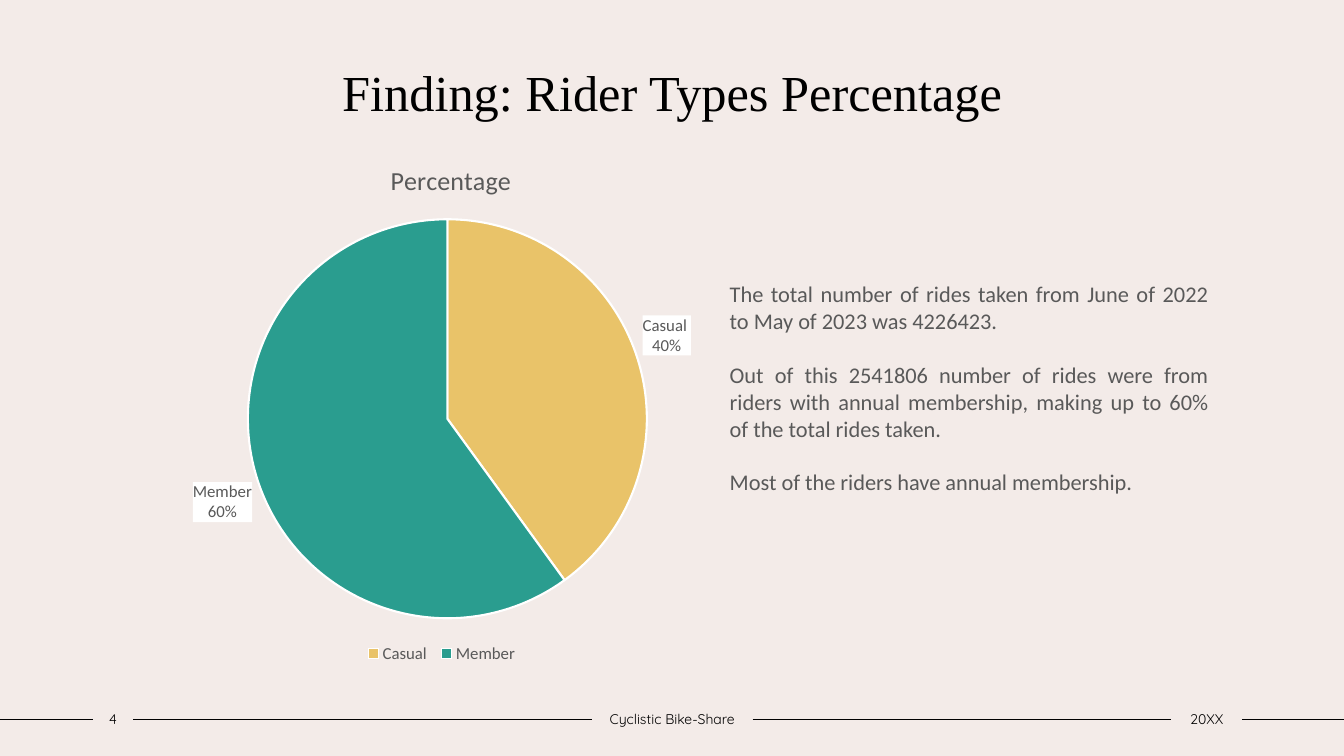
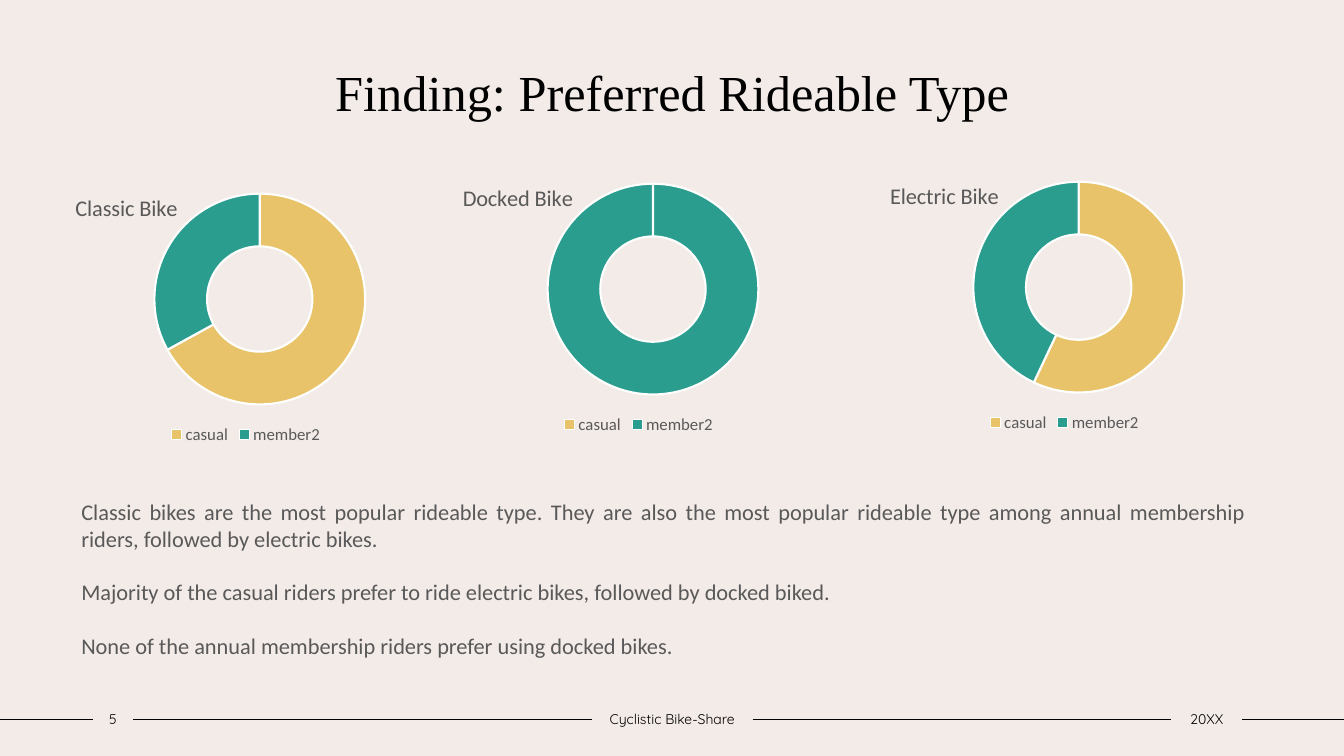
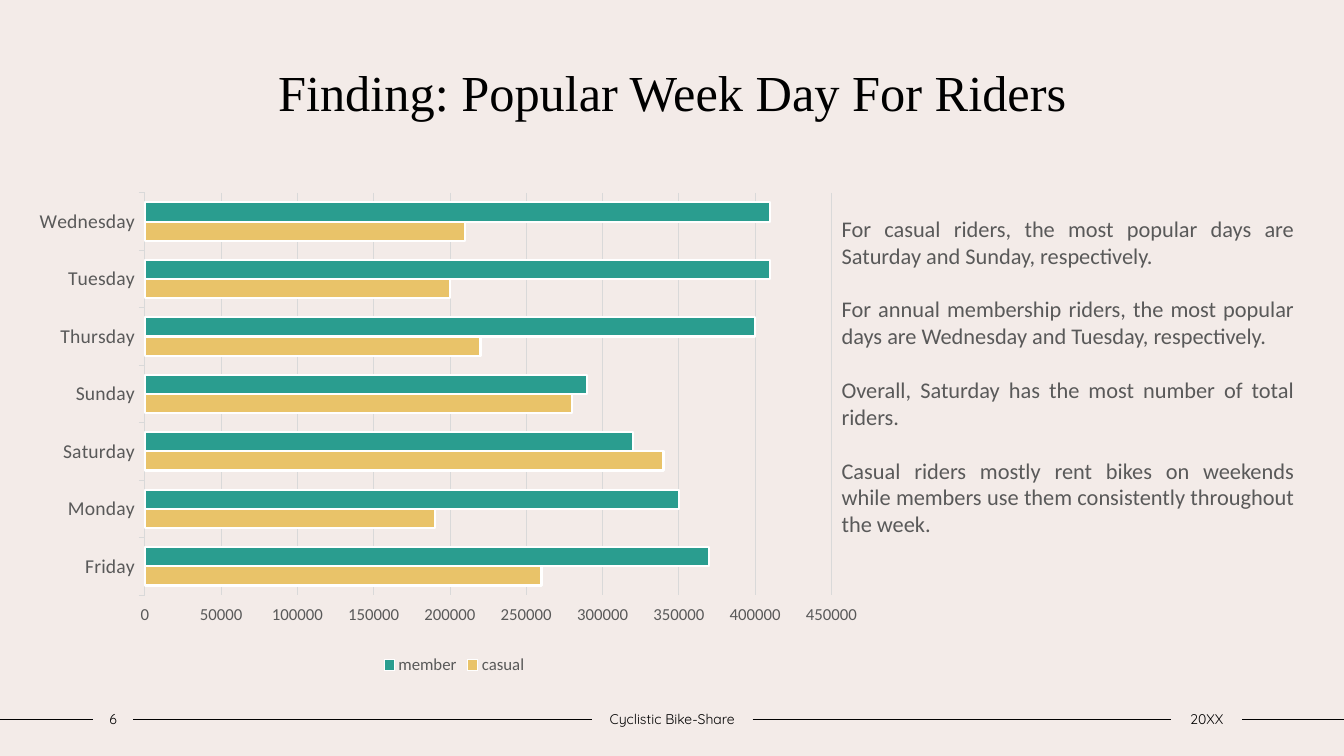
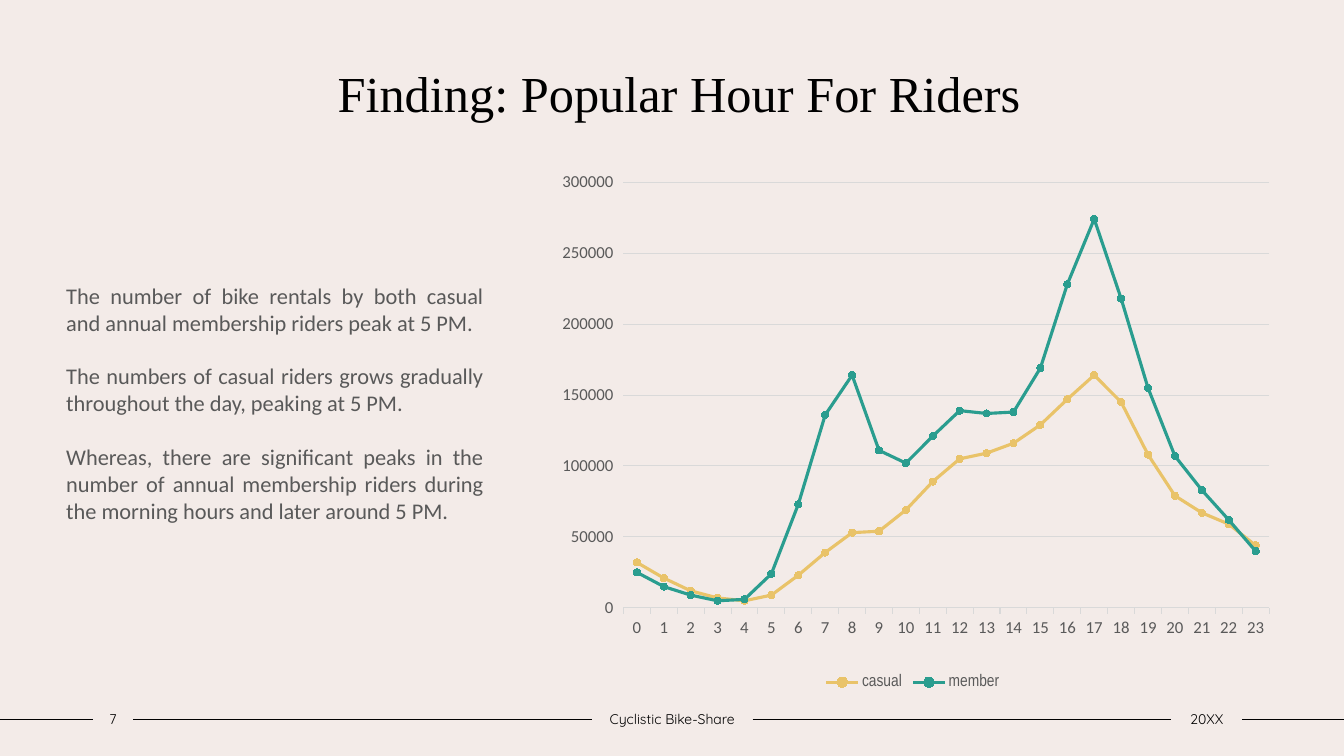
from lxml import etree
from pptx import Presentation
from pptx import util as u
from pptx.chart import data
from pptx.dml import color
from pptx.enum import chart as kinds
from pptx.enum import shapes, text
from pptx.oxml import ns

COLORS = {
    "background": "F3EBE8",
    "title": "000000",
    "body": "595959",
    "grid": "D9D9D9",
    "outline": "FFFFFF",
    "casual": "E9C369",
    "member": "2A9D8F",
}
COLORS = {name: color.RGBColor.from_string(value) for name, value in COLORS.items()}
RIDERS = [COLORS["casual"], COLORS["member"]]
PIE = kinds.XL_CHART_TYPE.PIE
DOUGHNUT = kinds.XL_CHART_TYPE.DOUGHNUT
BAR = kinds.XL_CHART_TYPE.BAR_CLUSTERED
LINE = kinds.XL_CHART_TYPE.LINE_MARKERS
FOOTER_TOP, FOOTER_HEIGHT = 17.77, 0.71

PAGES = [
    {
        "title": "Finding: Rider Types Percentage",
        "title_at": (3.18, 1.42),
        "text_at": (18.14, 6.94, 12.57, 6.5),
        "text": [
            "The total number of rides taken from June of 2022 to May of 2023 was 4226423.",
            "Out of this 2541806 number of rides were from riders with annual membership, "
            "making up to 60% of the total rides taken.",
            "Most of the riders have annual membership.",
        ],
        "charts": [
            {"kind": PIE, "at": (1.09, 3.56, 20.09, 13.26), "title": "Percentage",
             "title_size": 18.6, "heading_at": (0.43, 0.03),
             "categories": ["Casual ", "Member"], "series": {"Percentage": [40, 60]}},
        ],
    },
    {
        "title": "Finding: Preferred Rideable Type",
        "title_at": (3.18, 1.42),
        "text_at": (1.8, 12.42, 29.85, 4.37),
        "text": [
            "Classic bikes are the most popular rideable type. They are also the most popular "
            "rideable type among annual membership riders, followed by electric bikes.",
            "Majority of the casual riders prefer to ride electric bikes, followed by docked biked.",
            "None of the annual membership riders prefer using docked bikes.",
        ],
        "charts": [
            {"kind": DOUGHNUT, "at": at, "title": title, "title_size": 16,
             "heading_at": (0, 0), "categories": ["casual", "member2"],
             "series": {title: values}, "plot_at": (0.135, 0.02, 0.81, 0.811)}
            for title, values, at in [
                ("Classic Bike", [67, 33], (1.8, 4.75, 8.79, 6.55)),
                ("Docked Bike", [0, 100], (11.56, 4.5, 9.07, 6.55)),
                ("Electric Bike", [57, 43], (22.33, 4.45, 8.99, 6.55)),
            ]
        ],
    },
    {
        "title": "Finding: Popular Week Day For Riders",
        "title_at": (3.18, 1.42),
        "text_at": (20.96, 5.29, 11.91, 8.46),
        "text": [
            "For casual riders, the most popular days are Saturday and Sunday, respectively.",
            "For annual membership riders, the most popular days are Wednesday and Tuesday, "
            "respectively.",
            "Overall, Saturday has the most number of total riders.",
            "Casual riders mostly rent bikes on weekends while members use them consistently "
            "throughout the week.",
        ],
        "charts": [
            {"kind": BAR, "at": (0.77, 4.61, 21.36, 12.5), "category_size": 14,
             "maximum": 450000, "plot_at": (0.135, 0.02, 0.81, 0.811),
             "categories": ["Friday", "Monday", "Saturday", "Sunday", "Thursday",
                            "Tuesday", "Wednesday"],
             "series": {
                 "casual": [260000, 190000, 340000, 280000, 220000, 200000, 210000],
                 "member": [370000, 350000, 320000, 290000, 400000, 410000, 410000]}},
        ],
    },
    {
        "title": "Finding: Popular Hour For Riders",
        "title_at": (3.35, 1.45),
        "text_at": (1.42, 6.98, 11.02, 7.19),
        "text": [
            "The number of bike rentals by both casual and annual membership riders peak at 5 PM.",
            "The numbers of casual riders grows gradually throughout the day, peaking at 5 PM.",
            "Whereas, there are significant peaks in the number of annual membership riders "
            "during the morning hours and later around 5 PM.",
        ],
        "charts": [
            {"kind": LINE, "at": (12.96, 4.26, 20.09, 13.23), "category_size": 12,
             "maximum": 300000, "plot_at": (0.137, 0.025, 0.81, 0.811),
             "legend_font": "Arial Narrow",
             "categories": [str(hour) for hour in range(24)],
             "series": {
                 "casual": [32000, 21000, 12000, 7000, 5000, 9000, 23000, 39000,
                            53000, 54000, 69000, 89000, 105000, 109000, 116000, 129000,
                            147000, 164000, 145000, 108000, 79000, 67000, 59000, 44000],
                 "member": [25000, 15000, 9000, 5000, 6000, 24000, 73000, 136000,
                            164000, 111000, 102000, 121000, 139000, 137000, 138000, 169000,
                            228000, 274000, 218000, 155000, 107000, 83000, 62000, 40000]}},
        ],
    },
]


def add_text(page, at, lines, font, size, ink, align):
    box = page.shapes.add_textbox(*[u.Cm(length) for length in at])
    frame = box.text_frame
    frame.word_wrap = True
    frame.text = "\n".join(lines)
    for index, para in enumerate(frame.paragraphs):
        para.alignment = align
        para.font.name = font
        para.font.size = u.Pt(size)
        para.font.color.rgb = COLORS[ink]
        if index:
            para.space_before = u.Pt(19.2)
    return box


def set_layout(parent, index, **settings):
    for old in parent.xpath("c:layout"):
        parent.remove(old)
    layout = etree.Element(ns.qn("c:layout"))
    manual = etree.SubElement(layout, ns.qn("c:manualLayout"))
    for name, value in settings.items():
        etree.SubElement(manual, ns.qn("c:" + name)).set("val", str(value))
    parent.insert(index, layout)


deck = Presentation()
deck.slide_width = u.Cm(33.87)
deck.slide_height = u.Cm(19.05)
backdrop = deck.slide_master.background.fill
backdrop.solid()
backdrop.fore_color.rgb = COLORS["background"]

for number, content in enumerate(PAGES, start=4):
    page = deck.slides.add_slide(deck.slide_layouts[6])
    add_text(page, (*content["title_at"], 27.53, 2.82), [content["title"]],
             "Times New Roman", 36, "title", text.PP_ALIGN.CENTER)

    labels = []
    for left, width, label in [(2.34, 1.02, str(number)),
                               (14.91, 4.06, "Cyclistic Bike-Share"),
                               (29.52, 1.78, "20XX")]:
        box = add_text(page, (left, FOOTER_TOP, width, FOOTER_HEIGHT), [label],
                       "Quicksand", 10, "title", text.PP_ALIGN.CENTER)
        box.text_frame.margin_left = box.text_frame.margin_right = 0
        box.text_frame.vertical_anchor = text.MSO_ANCHOR.MIDDLE
        labels.append(box)

    middle = u.Cm(FOOTER_TOP + FOOTER_HEIGHT / 2)
    for before, after in zip([None, *labels], [*labels, None]):
        rule = page.shapes.add_connector(shapes.MSO_CONNECTOR.STRAIGHT,
                                         0, middle, deck.slide_width, middle)
        if before:
            rule.begin_connect(before, 3)
        if after:
            rule.end_connect(after, 1)
        rule.line.color.rgb = COLORS["title"]
        rule.line.width = u.Pt(1)
        etree.SubElement(rule.element.spPr, ns.qn("a:effectLst"))

    body = add_text(page, content["text_at"], content["text"],
                    "Calibri", 16, "body", text.PP_ALIGN.JUSTIFY)
    body.text_frame.auto_size = text.MSO_AUTO_SIZE.SHAPE_TO_FIT_TEXT

    for item in content["charts"]:
        figures = data.CategoryChartData()
        figures.categories = item["categories"]
        for name, values in item["series"].items():
            figures.add_series(name, values)
        area = [u.Cm(length) for length in item["at"]]
        chart = page.shapes.add_chart(item["kind"], *area, figures).chart
        plot = chart.plots[0]
        chart.font.name = "Calibri"
        chart.font.size = u.Pt(12)
        chart.font.color.rgb = COLORS["body"]
        chart.has_legend = True
        chart.legend.position = kinds.XL_LEGEND_POSITION.BOTTOM
        chart.legend.include_in_layout = False
        chart.legend.font.name = item.get("legend_font", "Calibri")
        chart.legend.font.size = u.Pt(12)
        chart.legend.font.color.rgb = COLORS["body"]
        if "plot_at" in item:
            x, y, w, h = item["plot_at"]
            set_layout(chart.element.xpath("c:chart/c:plotArea")[0], 0, layoutTarget="inner",
                       xMode="edge", yMode="edge", x=x, y=y, w=w, h=h)

        chart.has_title = "title" in item
        if chart.has_title:
            chart.chart_title.text_frame.text = item["title"]
            heading = chart.chart_title.text_frame.paragraphs[0].font
            heading.name = "Calibri"
            heading.size = u.Pt(item["title_size"])
            heading.bold = False
            heading.color.rgb = COLORS["body"]
            x, y = item["heading_at"]
            set_layout(chart.element.xpath("c:chart/c:title")[0], 1,
                       xMode="edge", yMode="edge", x=x, y=y)

        if item["kind"] in (PIE, DOUGHNUT):
            plot.vary_by_categories = True
            for index, ink in enumerate(RIDERS):
                piece = plot.series[0].points[index].format
                piece.fill.solid()
                piece.fill.fore_color.rgb = ink
                piece.line.color.rgb = COLORS["outline"]
                piece.line.width = u.Pt(1.5)
        else:
            plot.vary_by_categories = False
            category, value = chart.category_axis, chart.value_axis
            category.tick_labels.font.size = u.Pt(item["category_size"])
            category.tick_labels.font.color.rgb = COLORS["body"]
            category.format.line.color.rgb = COLORS["grid"]
            category.format.line.width = u.Pt(0.75)
            value.minimum_scale = 0
            value.maximum_scale = item["maximum"]
            value.major_unit = 50000
            value.format.line.fill.background()
            value.major_gridlines.format.line.color.rgb = COLORS["grid"]
            value.major_gridlines.format.line.width = u.Pt(0.75)

        if item["kind"] == PIE:
            tags = plot.series[0].data_labels
            tags.show_value = False
            tags.show_percentage = True
            tags.show_category_name = True
            tags.position = kinds.XL_LABEL_POSITION.OUTSIDE_END
            tags.font.name = "Calibri"
            tags.font.size = u.Pt(12)
            tags.font.color.rgb = COLORS["body"]
            holder = chart.element.xpath(".//c:ser/c:dLbls")[0]
            separator = etree.Element(ns.qn("c:separator"))
            separator.text = "\n"
            holder.xpath("c:showBubbleSize")[0].addnext(separator)
            patch = etree.Element(ns.qn("c:spPr"))
            paint = etree.SubElement(patch, ns.qn("a:solidFill"))
            etree.SubElement(paint, ns.qn("a:srgbClr")).set("val", str(COLORS["outline"]))
            holder.xpath("c:txPr")[0].addprevious(patch)
        elif item["kind"] == BAR:
            plot.gap_width = 100
            for series, ink in zip(plot.series, RIDERS):
                series.format.fill.solid()
                series.format.fill.fore_color.rgb = ink
                series.format.line.color.rgb = COLORS["outline"]
                series.format.line.width = u.Pt(1.5)
        elif item["kind"] == LINE:
            for series, ink in zip(plot.series, RIDERS):
                series.smooth = False
                series.format.line.color.rgb = ink
                series.format.line.width = u.Pt(2.25)
                series.marker.style = kinds.XL_MARKER_STYLE.CIRCLE
                series.marker.size = 5
                series.marker.format.fill.solid()
                series.marker.format.fill.fore_color.rgb = ink
                series.marker.format.line.color.rgb = ink

deck.save("out.pptx")
